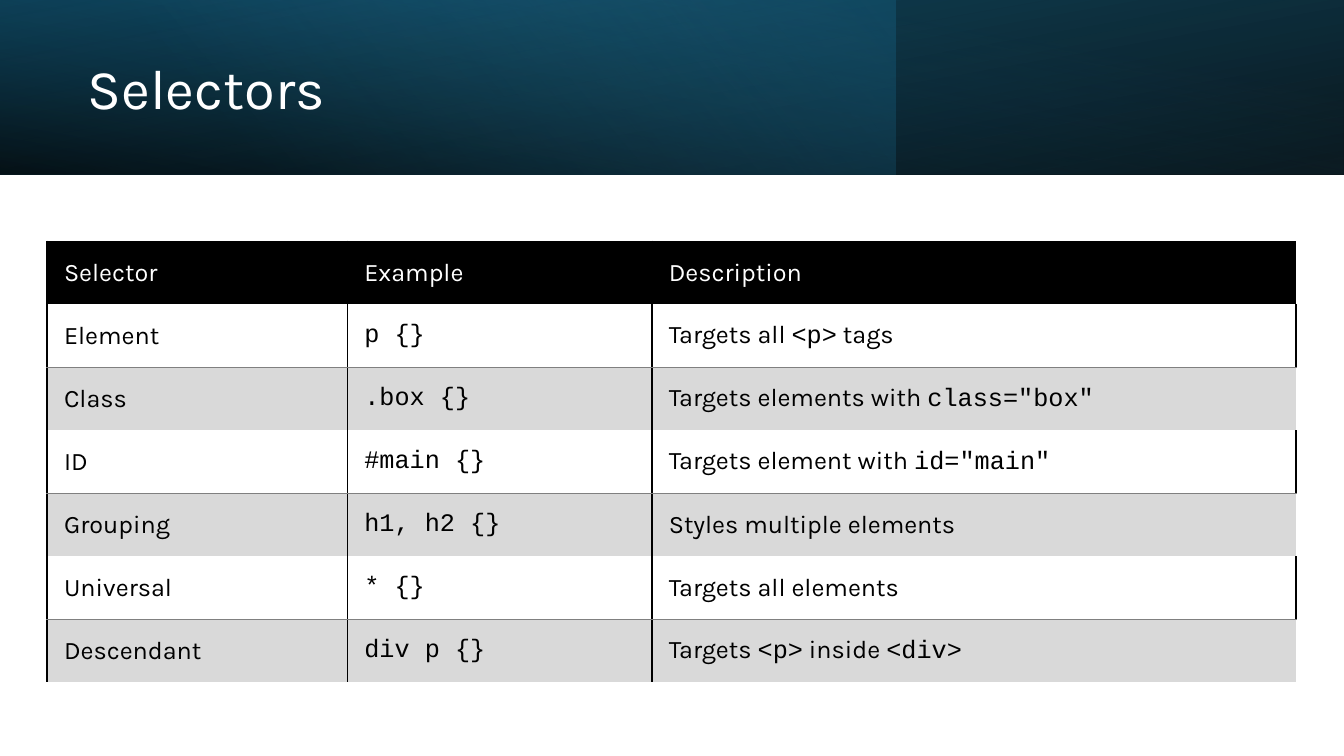
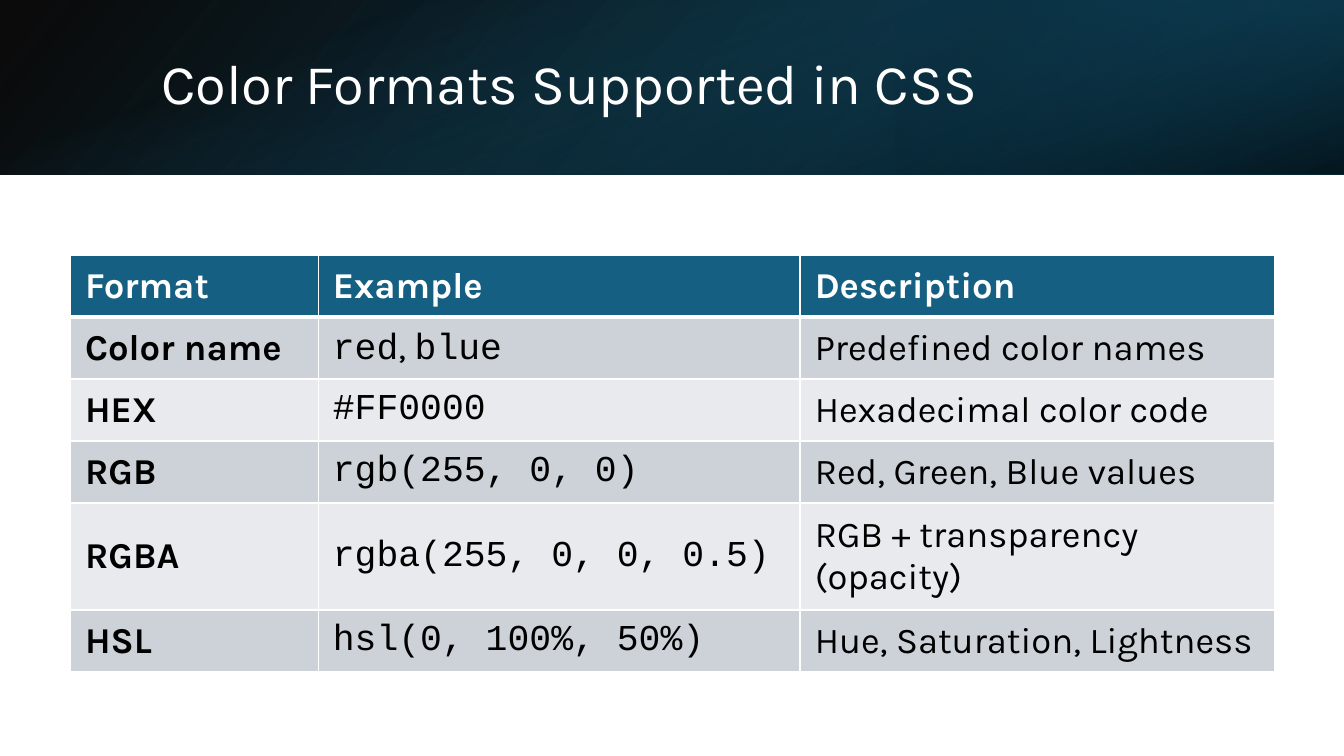
from lxml import etree
from pptx import Presentation
from pptx.dml.color import RGBColor
from pptx.enum.shapes import MSO_SHAPE
from pptx.enum.text import MSO_ANCHOR, PP_ALIGN
from pptx.oxml.ns import qn
from pptx.util import Emu, Pt

RECTANGLE = MSO_SHAPE.RECTANGLE
MIDDLE = MSO_ANCHOR.MIDDLE
LEFT = PP_ALIGN.LEFT

PX = 9525  # EMU per px, 96 px to the inch
SLIDE_W, SLIDE_H, BAND_H = 1280, 720, 166
TITLE_ONLY = 5
TEXT_FONT, CODE_FONT = "Karla", "Courier New"
COLORS = {
    "white": "FFFFFF",
    "black": "000000",
    "teal": "156082",
    "deep_teal": "104862",
    "night": "0B3041",
    "sky": "46B1E1",
    "rule": "808080",
    "stripe": "D9D9D9",
    "band_dark": "CCD2D8",
    "band_light": "E8EAED",
}


def add_slide(title_text, title_box, bands, table_at, columns, heights):
    """Add a slide with gradient bands behind its title; return its empty table."""
    slide = deck.slides.add_slide(deck.slide_layouts[TITLE_ONLY])
    title = slide.shapes.title
    title.left, title.top, title.width, title.height = [Emu(v * PX) for v in title_box]
    title.text_frame.text = title_text
    title.text_frame.vertical_anchor = MIDDLE
    heading = title.text_frame.paragraphs[0]
    heading.alignment = LEFT
    heading.line_spacing = 0.9
    font = heading.runs[0].font
    font.name, font.size = TEXT_FONT, Pt(40)
    font.color.rgb = RGBColor.from_string(COLORS["white"])

    for box, rotation, flipped, angle, stops in bands:
        band = slide.shapes.add_shape(RECTANGLE, *[Emu(v * PX) for v in box])
        band.shadow.inherit = False
        band.line.fill.background()
        band.rotation = rotation
        if flipped:
            band.element.spPr.find(qn("a:xfrm")).set("flipH", "1")
        band.fill.gradient()
        band.fill.gradient_angle = 360 - angle
        for stop, (position, color, _) in zip(band.fill.gradient_stops, stops):
            stop.position = position / 100
            stop.color.rgb = RGBColor.from_string(COLORS[color])
        stop_colors = band.element.spPr.iter(qn("a:srgbClr"))
        for stop_color, (_, _, opacity) in zip(stop_colors, stops):
            etree.SubElement(stop_color, qn("a:alpha"), val=str(opacity * 1000))
        title.element.addprevious(band.element)

    size = (sum(columns), sum(heights))
    table = slide.shapes.add_table(
        len(heights), len(columns), *[Emu(v * PX) for v in (*table_at, *size)]).table
    table.horz_banding = False
    for column, width in zip(table.columns, columns):
        column.width = Emu(width * PX)
    for row, height in zip(table.rows, heights):
        row.height = Emu(height * PX)
    return table


def write_cell(cell, text, size, color, bold, margins, fill, borders):
    """Fill and frame a cell; parts of the text between backticks are code."""
    cell.vertical_anchor = MIDDLE
    cell.margin_left = cell.margin_right = Emu(margins[0] * PX)
    cell.margin_top = cell.margin_bottom = Emu(margins[1] * PX)
    paragraph = cell.text_frame.paragraphs[0]
    for index, part in enumerate(text.split("`")):
        if part:
            run = paragraph.add_run()
            run.text = part
            run.font.name = CODE_FONT if index % 2 else TEXT_FONT
            run.font.size, run.font.bold = Pt(size), bold
            run.font.color.rgb = RGBColor.from_string(COLORS[color])
    properties = cell._tc.get_or_add_tcPr()
    for side in "LRTB":
        border = etree.SubElement(properties, qn(f"a:ln{side}"))
        if side in borders:
            border_color, width = borders[side]
            border.set("w", str(Pt(width)))
            solid = etree.SubElement(border, qn("a:solidFill"))
            etree.SubElement(solid, qn("a:srgbClr"), val=COLORS[border_color])
        else:
            etree.SubElement(border, qn("a:noFill"))
    if fill:
        cell.fill.solid()
        cell.fill.fore_color.rgb = RGBColor.from_string(COLORS[fill])
    else:
        cell.fill.background()


deck = Presentation()
deck.slide_width, deck.slide_height = Emu(SLIDE_W * PX), Emu(SLIDE_H * PX)
full_band = (0, 0, SLIDE_W, BAND_H)
base_stops = [(0, "black", 96), (100, "deep_teal", 100)]

# Selectors
selectors = [
    ("Selector", "Example", "Description"),
    ("Element", "`p {}`", "Targets all `<p>` tags"),
    ("Class", "`.box {}`", 'Targets elements with `class="box"`'),
    ("ID", "`#main {}`", 'Targets element with `id="main"`'),
    ("Grouping", "`h1, h2 {}`", "Styles multiple elements"),
    ("Universal", "`* {}`", "Targets all elements"),
    ("Descendant", "`div p {}`", "Targets `<p>` inside `<div>`"),
]
selector_bands = [
    (full_band, 180, True, 100, base_stops),
    ((0, 0, 853, BAND_H), 0, False, 140, [(0, "teal", 41), (74, "sky", 0)]),
    (full_band, 0, True, 260, [(0, "black", 63), (78, "teal", 15)]),
]
selector_table = add_slide("Selectors", (74, 26, 741, 122), selector_bands,
                           (45, 230), (286, 290, 613), [60] * len(selectors))
outline, hairline = ("black", 1.5), ("rule", 0.5)
for r, texts in enumerate(selectors):
    for c, text in enumerate(texts):
        if r == 0:
            fill, borders = "black", {"L": outline, "T": outline}
        elif r % 2:
            fill, borders = None, {"L": outline, "R": outline, "B": hairline}
        else:
            fill, borders = "stripe", {"L": outline, "T": hairline}
            if c < len(texts) - 1:
                borders["R"] = outline
        write_cell(selector_table.cell(r, c), text, 18, "black" if r else "white",
                   False, (16, 12), fill, borders)

# Color formats
formats = [
    ("Format", "Example", "Description"),
    ("Color name", "`red`, `blue`", "Predefined color names"),
    ("HEX", "`#FF0000`", "Hexadecimal color code"),
    ("RGB", "`rgb(255, 0, 0)`", "Red, Green, Blue values"),
    ("RGBA", "`rgba(255, 0, 0, 0.5)`", "RGB + transparency (opacity)"),
    ("HSL", "`hsl(0, 100%, 50%)`", "Hue, Saturation, Lightness"),
]
turned = (SLIDE_W - BAND_H) // 2  # offset of a full band drawn upright, then rotated
format_bands = [
    (full_band, 0, True, 140, base_stops),
    ((853, 0, 427, BAND_H), 180, True, 320, [(19, "night", 68), (100, "teal", 79)]),
    ((turned, -turned, BAND_H, SLIDE_W), 90, False, 340,
     [(23, "teal", 0), (99, "black", 74)]),
]
format_table = add_slide("Color Formats Supported in CSS", (144, 36, 1054, 92),
                         format_bands, (67, 243), (236, 459, 452),
                         (59, 59, 59, 59, 102, 59))
for r, texts in enumerate(formats):
    borders = dict.fromkeys("LRTB", ("white", 1))
    if r < 2:
        borders["T" if r else "B"] = ("white", 3)
    fill = ("band_dark" if r % 2 else "band_light") if r else "teal"
    for c, text in enumerate(texts):
        write_cell(format_table.cell(r, c), text, 26, "black" if r else "white",
                   r == 0 or c == 0, (14, 7), fill, borders)

deck.save("out.pptx")
